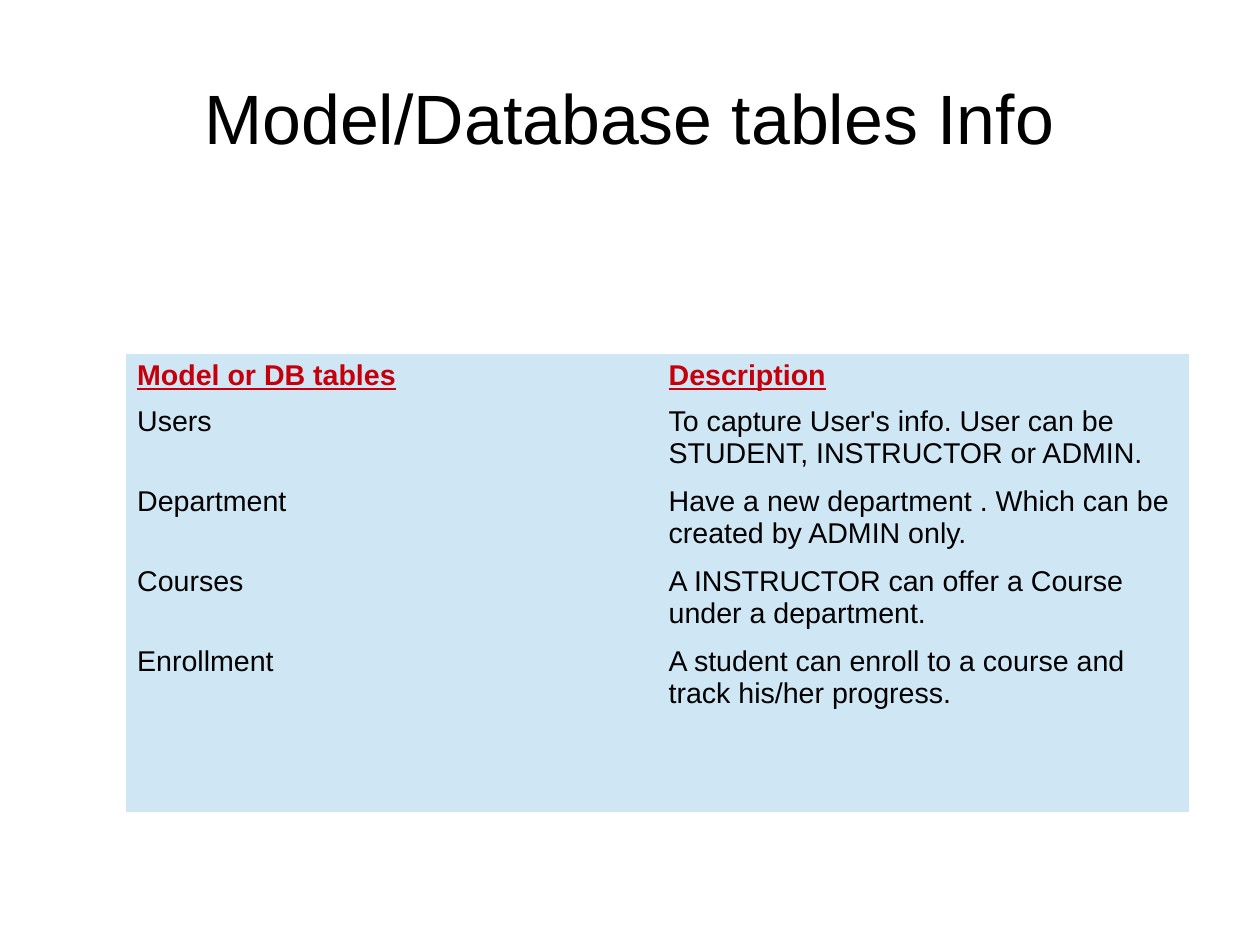
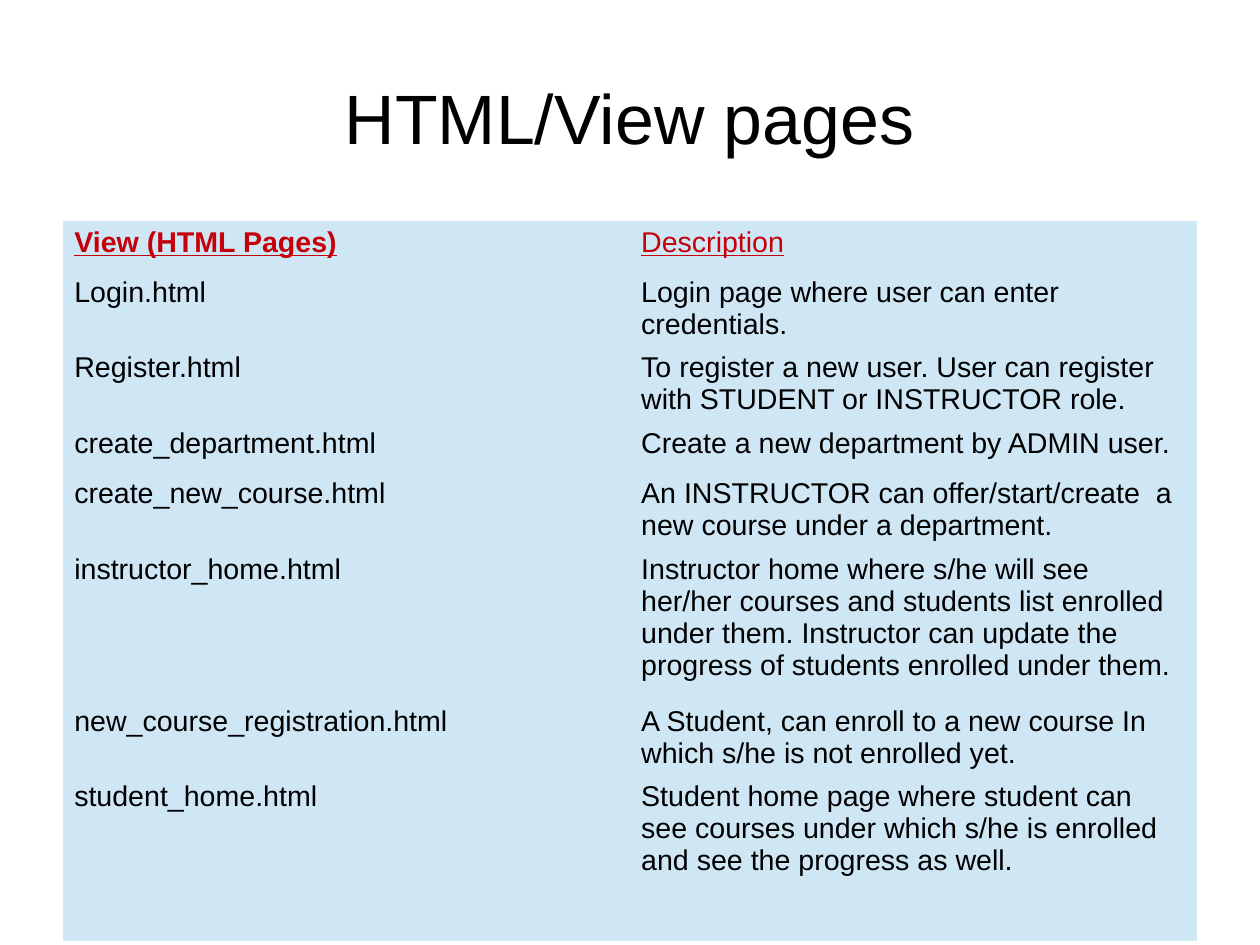
from pptx import Presentation
from pptx.dml.color import RGBColor
from pptx.enum.text import MSO_ANCHOR as Anchor, PP_ALIGN as Align
from pptx.oxml.ns import qn
from pptx.util import Inches, Pt

# The page is 28 by 21 cm.
WIDE, HIGH = 28 / 2.54, 21 / 2.54
FONT = "Arial"
BLACK, RED, PALE = "000000", "C5000B", "CFE7F5"
TITLE_BOX = (0.55, 0.33, 9.92, 1.38)
PLAIN_GRID = "{2D5ABB26-0587-4C30-8999-92F81FD0307C}"

# Each row is its height, then its two texts; the first row is the header.
SLIDES = [
    {
        "title": "Model/Database tables Info",
        "at": (1.1, 3.1, 9.3),
        "bold": (True, True),
        "rows": [
            (0.4, "Model or DB tables", "Description"),
            (0.7, "Users", "To capture User's info. User can be STUDENT, "
                           "INSTRUCTOR or ADMIN."),
            (0.7, "Department", "Have a new department . Which can be created "
                                "by ADMIN only."),
            (0.7, "Courses", "A INSTRUCTOR can offer a Course under a department."),
            (0.7, "Enrollment", "A student can enroll to a course and track "
                                "his/her progress."),
            (0.4, "", ""),
            (0.4, "", ""),
        ],
    },
    {
        "title": "HTML/View pages",
        "at": (0.55, 1.93, 9.92),
        "bold": (True, False),
        "rows": [
            (0.44, "View (HTML Pages)", "Description"),
            (0.66, "Login.html", "Login page where user can enter credentials."),
            (0.66, "Register.html", "To register a new user. User can register "
                                    "with STUDENT or INSTRUCTOR role."),
            (0.44, "create_department.html",
             "Create a new department by ADMIN user."),
            (0.66, "create_new_course.html",
             "An INSTRUCTOR can offer/start/create  a new course under a "
             "department."),
            (1.33, "instructor_home.html",
             "Instructor home where s/he will see her/her courses and students "
             "list enrolled under them. Instructor can update the progress of "
             "students enrolled under them."),
            (0.66, "new_course_registration.html",
             "A Student, can enroll to a new course In which s/he is not "
             "enrolled yet."),
            (1, "student_home.html",
             "Student home page where student can see courses under which s/he "
             "is enrolled and see the progress as well."),
            (0.45, "", ""),
        ],
    },
]


def color(code):
    return RGBColor.from_string(code)


def add_run(para, text, size, ink=BLACK, bold=False, under=False):
    run = para.add_run()
    run.text = text
    font = run.font
    font.name, font.size = FONT, Pt(size)
    font.bold, font.underline = bold, under
    font.color.rgb = color(ink)


def add_title(slide, text):
    frame = slide.shapes.add_textbox(*map(Inches, TITLE_BOX)).text_frame
    frame.word_wrap = True
    frame.vertical_anchor = Anchor.MIDDLE
    frame.margin_left = frame.margin_right = 0
    frame.margin_top = frame.margin_bottom = 0
    para = frame.paragraphs[0]
    para.alignment = Align.CENTER
    add_run(para, text, 44)


def add_grid(slide, rows, at, bold):
    left, top, width = at
    high = sum(row[0] for row in rows)
    shape = slide.shapes.add_table(
        len(rows), 2, *map(Inches, (left, top, width, high)))
    for style in shape.element.iter(qn("a:tableStyleId")):
        style.text = PLAIN_GRID
    table = shape.table
    table.first_row = table.horz_banding = False
    for col in table.columns:
        col.width = Inches(width / 2)
    for i, (height, *texts) in enumerate(rows):
        table.rows[i].height = Inches(height)
        head = i == 0
        for j, text in enumerate(texts):
            cell = table.cell(i, j)
            cell.margin_bottom = Inches(0.01)  # keeps two lines within a row
            cell.fill.solid()
            cell.fill.fore_color.rgb = color(PALE)
            if text:
                add_run(cell.text_frame.paragraphs[0], text, 18,
                        RED if head else BLACK, head and bold[j], head)


def main():
    deck = Presentation()
    deck.slide_width, deck.slide_height = Inches(WIDE), Inches(HIGH)
    for page in SLIDES:
        slide = deck.slides.add_slide(deck.slide_layouts[6])
        add_title(slide, page["title"])
        add_grid(slide, page["rows"], page["at"], page["bold"])
    deck.save("out.pptx")


if __name__ == "__main__":
    main()
